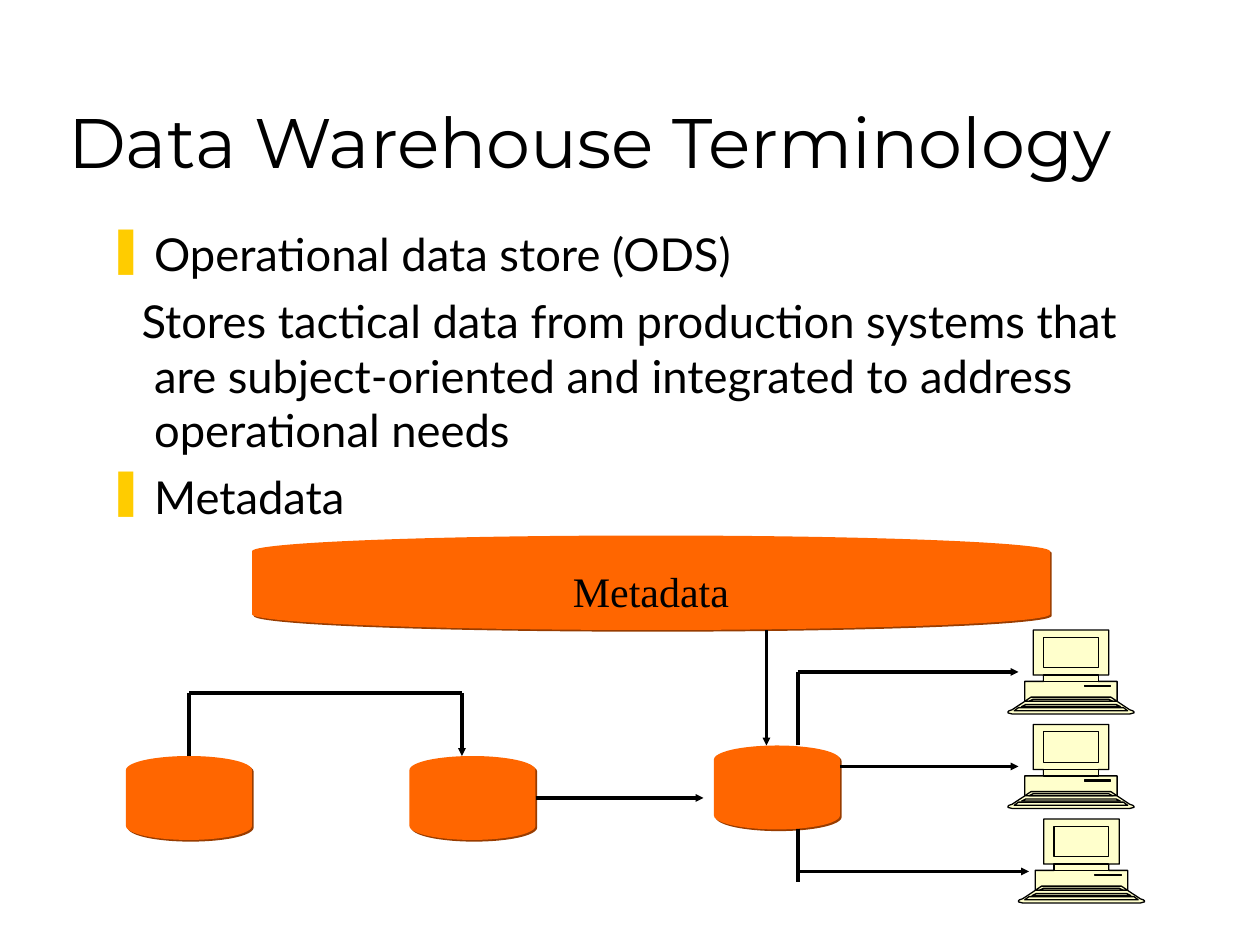
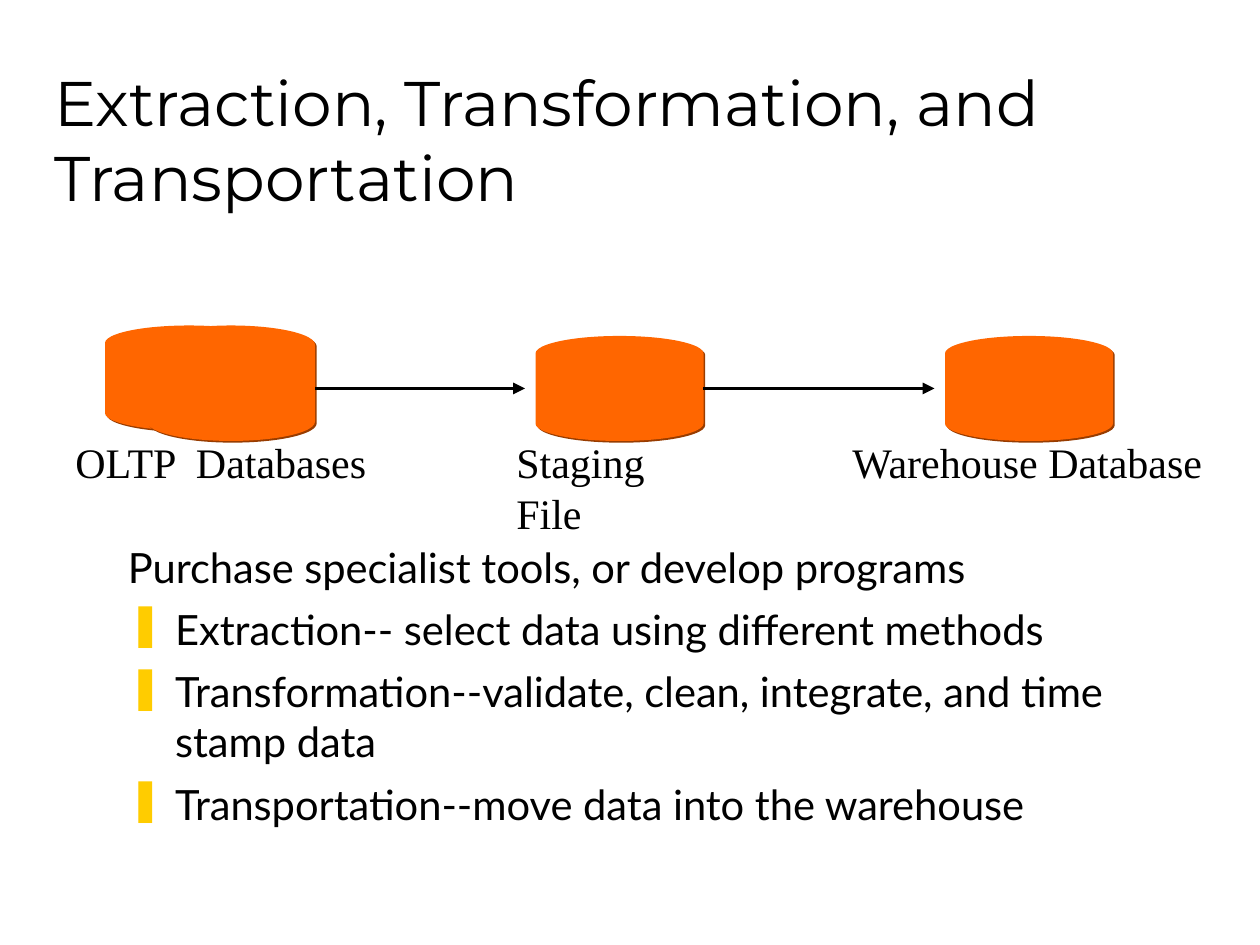
"""Build two slides on data warehouse terminology and the ETT process."""
from lxml.etree import SubElement
from pptx import Presentation
from pptx.dml.color import RGBColor
from pptx.enum.shapes import MSO_CONNECTOR, MSO_SHAPE
from pptx.enum.text import MSO_ANCHOR, PP_ALIGN
from pptx.oxml.ns import qn
from pptx.util import Pt

PX = 7620
HANG = 45
BLACK, ORANGE, RUST, CREAM, GOLD = "000000", "FF6600", "983C00", "FFFFCC", "FFCC00"
LABEL = {"name": "Times New Roman", "size": Pt(24)}
BULLET, PLAIN, TUCKED = "❚", "", "tucked"

terminology = {
    "title": ("Data Warehouse Terminology", (53, 30, 1020, 150), 40),
    "body_box": (90, 210, 1020, 310),
    "body_size": 25.9,
    "body": [
        (BULLET, "Operational data store (ODS)"),
        (TUCKED, "Stores tactical data from production systems that are "
                 "subject-oriented and integrated to address operational needs"),
        (BULLET, "Metadata"),
    ],
    "stores": [
        ("Metadata", (240, 510, 760, 90)),
        ("", (120, 720, 120, 80)),
        ("", (390, 720, 120, 80)),
        ("", (680, 710, 120, 80)),
    ],
    "captions": [],
    "workstations": [(960, 600), (960, 690), (970, 780)],
    "plain_flows": [(760, 710, 760, 640), (760, 790, 760, 840),
                    (180, 720, 180, 660), (180, 660, 440, 660)],
    "arrow_flows": [(760, 640, 970, 640), (800, 730, 970, 730),
                    (760, 830, 980, 830), (510, 760, 670, 760),
                    (440, 660, 440, 720), (730, 600, 730, 710)],
    "head": "sm",
}
extraction = {
    "title": ("Extraction, Transformation, and Transportation", (40, 60, 1020, 150), 36),
    "body_box": (110, 510, 1020, 330),
    "body_size": 23.8,
    "body": [
        (PLAIN, "Purchase specialist tools, or develop programs"),
        (BULLET, "Extraction-- select data using different methods"),
        (BULLET, "Transformation--validate, clean, integrate, and time stamp data"),
        (BULLET, "Transportation--move data into the warehouse"),
    ],
    "stores": [
        ("", (100, 310, 160, 100)),
        ("", (140, 310, 160, 110)),
        ("", (510, 320, 160, 100)),
        ("", (900, 320, 160, 100)),
    ],
    "captions": [
        ("OLTP  Databases", (60, 410, 306, 60)),
        ("Staging File", (480, 410, 218, 60)),
        ("Warehouse Database", (800, 410, 360, 60)),
    ],
    "workstations": [],
    "plain_flows": [],
    "arrow_flows": [(300, 370, 500, 370), (670, 370, 890, 370)],
    "head": "med",
}

case_half = [(24, 0), (24, 43), (34, 43), (34, 49), (16, 49), (16, 68),
             (4, 76), (1, 77), (0, 78), (0, 79), (4, 80)]
detail_halves = [
    [(20, 68), (24, 66)],
    [(13, 73), (17, 71)],
    [(6, 77), (10, 74)],
    [(16, 68), (22, 64)],
    [(34, 36), (34, 7)],
    [(34, 49), (34, 43)],
]
drive_slot = [(73, 53), (73, 54), (98, 54), (98, 53)]
case, *details = [half + [(120 - x, y) for x, y in reversed(half)]
                  for half in [case_half, *detail_halves]]
workstation_layers = [[case], details + [drive_slot]]


def colour(target, hex_code):
    """Give a fill or font colour format the hex colour."""
    target.rgb = RGBColor.from_string(hex_code)


def write(paragraph, text, font_values):
    """Add black text with the given font values."""
    run = paragraph.add_run()
    run.text = text
    for key, value in font_values.items():
        setattr(run.font, key, value)
    colour(run.font.color, BLACK)


deck = Presentation()
deck.slide_width, deck.slide_height = 1200 * PX, 900 * PX

for content in (terminology, extraction):
    slide = deck.slides.add_slide(deck.slide_layouts[6])
    shapes = slide.shapes

    heading, box, size = content["title"]
    title = shapes.add_textbox(*[n * PX for n in box]).text_frame
    for key, value in {"word_wrap": True, "vertical_anchor": MSO_ANCHOR.BOTTOM}.items():
        setattr(title, key, value)
    write(title.paragraphs[0], heading, {"name": "Montserrat", "size": Pt(size)})

    body = shapes.add_textbox(*[n * PX for n in content["body_box"]]).text_frame
    body.word_wrap = True
    for index, (kind, sentence) in enumerate(content["body"]):
        point = body.add_paragraph() if index else body.paragraphs[0]
        properties = point._p.get_or_add_pPr()
        properties.set("marL", str(HANG * PX))
        properties.set("indent", str((-12 if kind == TUCKED else -HANG) * PX))
        if kind == BULLET:
            bullet_colour = SubElement(properties, qn("a:buClr"))
            SubElement(bullet_colour, qn("a:srgbClr"), val=GOLD)
            SubElement(properties, qn("a:buChar"), char=BULLET)
        if index:
            point.space_before = Pt(7)
        write(point, sentence, {"name": "Lato", "size": Pt(content["body_size"])})

    for name, box in content["stores"]:
        store = shapes.add_shape(MSO_SHAPE.FLOWCHART_MAGNETIC_DISK, *[n * PX for n in box])
        store.fill.solid()
        colour(store.fill.fore_color, ORANGE)
        store.line.fill.background()
        store.shadow.inherit = False
        effects = store.element.spPr.find(qn("a:effectLst"))
        shadow = SubElement(effects, qn("a:outerShdw"), blurRad="0", dist=str(Pt(1.4)),
                            dir="2700000", algn="ctr", rotWithShape="0")
        SubElement(shadow, qn("a:srgbClr"), val=RUST)
        if name:
            frame = store.text_frame
            for key, value in {"word_wrap": False, "vertical_anchor": MSO_ANCHOR.MIDDLE}.items():
                setattr(frame, key, value)
            frame.paragraphs[0].alignment = PP_ALIGN.CENTER
            write(frame.paragraphs[0], name, LABEL)

    for left, top in content["workstations"]:
        for contours in workstation_layers:
            builder = None
            for contour in contours:
                start, *others = [(left + x, top + y) for x, y in contour]
                if builder is None:
                    builder = shapes.build_freeform(*start, scale=PX)
                else:
                    builder.move_to(*start)
                builder.add_line_segments(others, close=True)
            layer = builder.convert_to_shape()
            layer.shadow.inherit = False
            layer.fill.solid()
            colour(layer.fill.fore_color, CREAM)
            colour(layer.line.color, BLACK)
            layer.line.width = Pt(0.75)

    for name, box in content["captions"]:
        caption = shapes.add_textbox(*[n * PX for n in box]).text_frame
        caption.word_wrap = False
        write(caption.paragraphs[0], name, LABEL)

    for ends in content["plain_flows"] + content["arrow_flows"]:
        flow = shapes.add_connector(MSO_CONNECTOR.STRAIGHT, *[n * PX for n in ends])
        colour(flow.line.color, BLACK)
        flow.line.width = Pt(2.25)
        outline = flow.element.spPr
        if ends in content["arrow_flows"]:
            SubElement(outline.find(qn("a:ln")), qn("a:tailEnd"), type="triangle",
                       w=content["head"], len=content["head"])
        SubElement(outline, qn("a:effectLst"))

deck.save("out.pptx")
